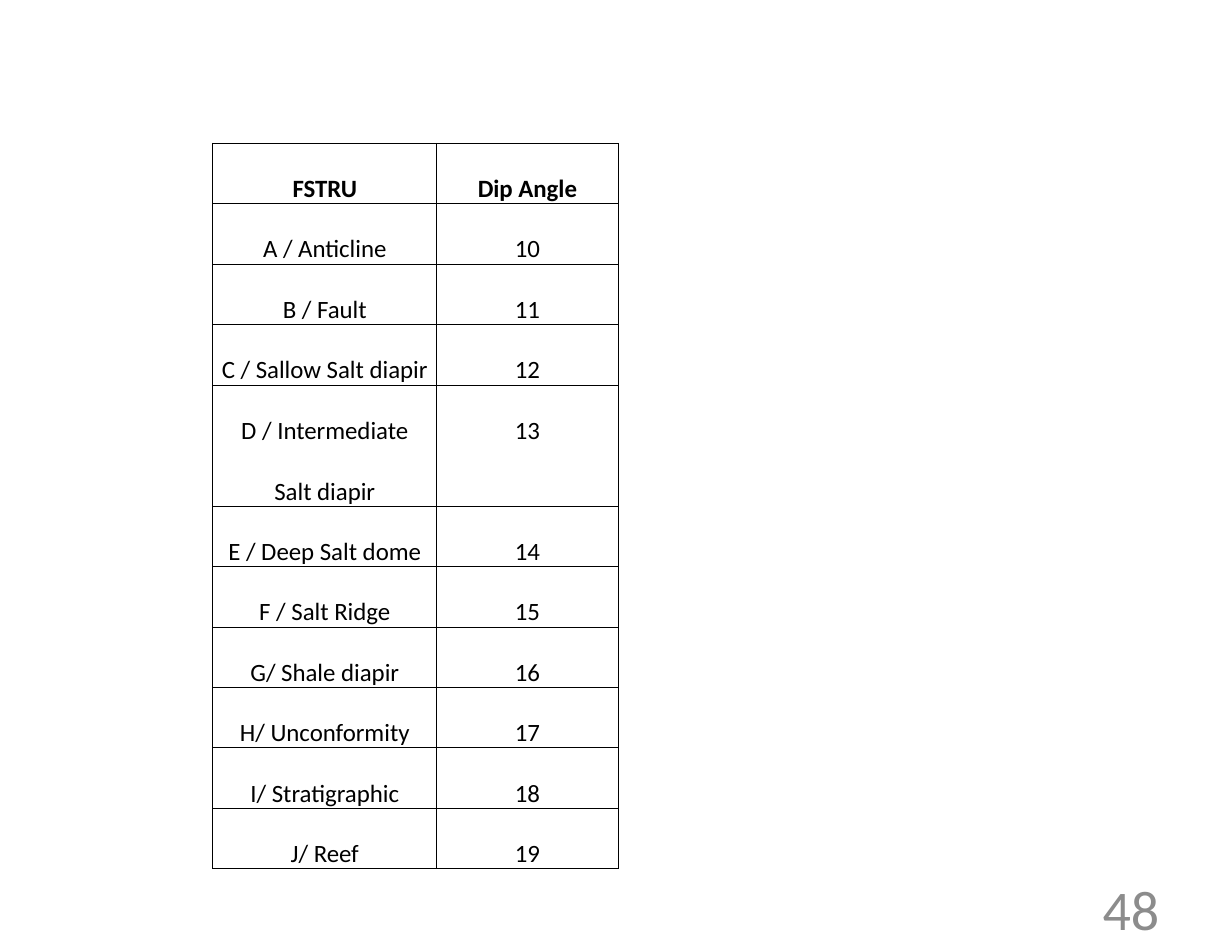
from dataclasses import dataclass

from lxml import etree
from pptx import Presentation
from pptx import util as u
from pptx.dml.color import RGBColor
from pptx.enum import text
from pptx.oxml import ns


@dataclass(frozen=True)
class Theme:
    font: str = "Calibri"
    ink: str = "000000"
    muted: str = "8C8C8C"
    table_size: int = 16
    number_size: int = 36
    border: float = 0.75


THEME = Theme()
HEADER = ("FSTRU", "Dip Angle")
STRUCTURES = (
    "A / Anticline", "B / Fault", "C / Sallow Salt diapir",
    "D / Intermediate Salt diapir", "E / Deep Salt dome", "F / Salt Ridge",
    "G/ Shale diapir", "H/ Unconformity", "I/ Stratigraphic", "J/ Reef",
)
FIRST_ANGLE = 10
COLUMN_WIDTHS = (2, 1.62)
LINE_HEIGHT = 0.54
TWO_LINE_ROW = 4


def write(tf, content, size, color, align, bold=False):
    tf.text = content
    p = tf.paragraphs[0]
    p.alignment = align
    font = p.runs[0].font
    font.name, font.size, font.bold = THEME.font, u.Pt(size), bold
    font.color.rgb = RGBColor.from_string(color)
    return p


def add_borders(cell):
    tc_pr = cell._tc.get_or_add_tcPr()
    for side in ("lnL", "lnR", "lnT", "lnB"):
        ln = etree.SubElement(tc_pr, ns.qn(f"a:{side}"), w=str(u.Pt(THEME.border)))
        fill = etree.SubElement(ln, ns.qn("a:solidFill"))
        etree.SubElement(fill, ns.qn("a:srgbClr"), val=THEME.ink)


def fill_cell(cell, content, bold):
    cell.margin_left = cell.margin_right = u.Inches(0.07)
    cell.margin_top = cell.margin_bottom = 0
    p = write(cell.text_frame, content, THEME.table_size, THEME.ink,
              text.PP_ALIGN.CENTER, bold)
    p.line_spacing = 2.0
    add_borders(cell)
    cell.fill.background()


def add_dip_table(s):
    rows = [HEADER] + [(name, str(angle))
                       for angle, name in enumerate(STRUCTURES, FIRST_ANGLE)]
    table = s.shapes.add_table(
        len(rows), len(HEADER), u.Inches(1.9), u.Inches(1.28),
        u.Inches(sum(COLUMN_WIDTHS)), u.Inches(LINE_HEIGHT * (len(rows) + 1))).table
    table.horz_banding = False
    for column, width in zip(table.columns, COLUMN_WIDTHS):
        column.width = u.Inches(width)
    for i, values in enumerate(rows):
        lines = 2 if i == TWO_LINE_ROW else 1
        table.rows[i].height = u.Inches(LINE_HEIGHT * lines)
        for j, value in enumerate(values):
            fill_cell(table.cell(i, j), value, bold=i == 0)


def add_page_number(s, number):
    box = s.shapes.add_textbox(u.Inches(7.88), u.Inches(7.88),
                               u.Inches(2.57), u.Inches(0.45))
    tf = box.text_frame
    tf.word_wrap = True
    tf.vertical_anchor = text.MSO_ANCHOR.MIDDLE
    write(tf, number, THEME.number_size, THEME.muted, text.PP_ALIGN.RIGHT)


def main():
    prs = Presentation()
    prs.slide_width, prs.slide_height = u.Inches(11), u.Inches(8.5)
    s = prs.slides.add_slide(prs.slide_layouts[6])  # blank: no title here

    # Page number
    add_page_number(s, "48")

    # Dip angle for each structure
    add_dip_table(s)

    prs.save("out.pptx")


if __name__ == "__main__":
    main()
